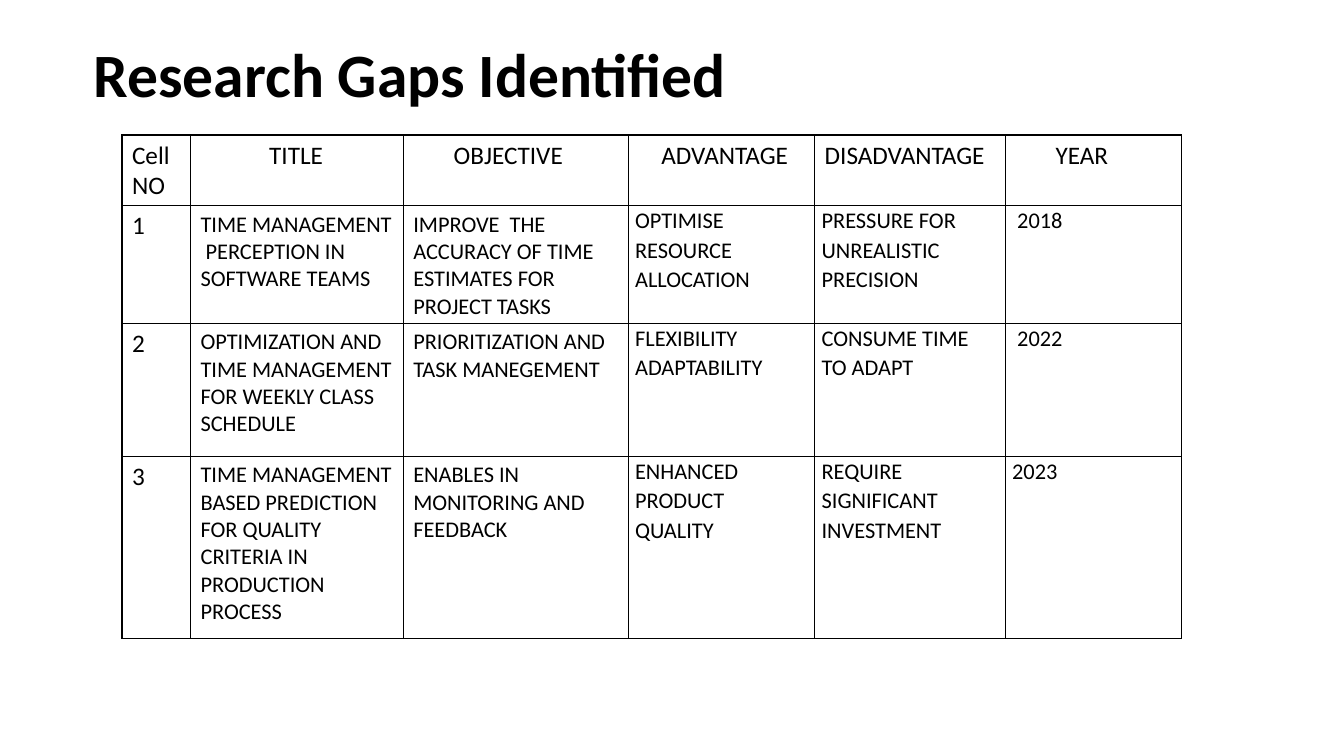
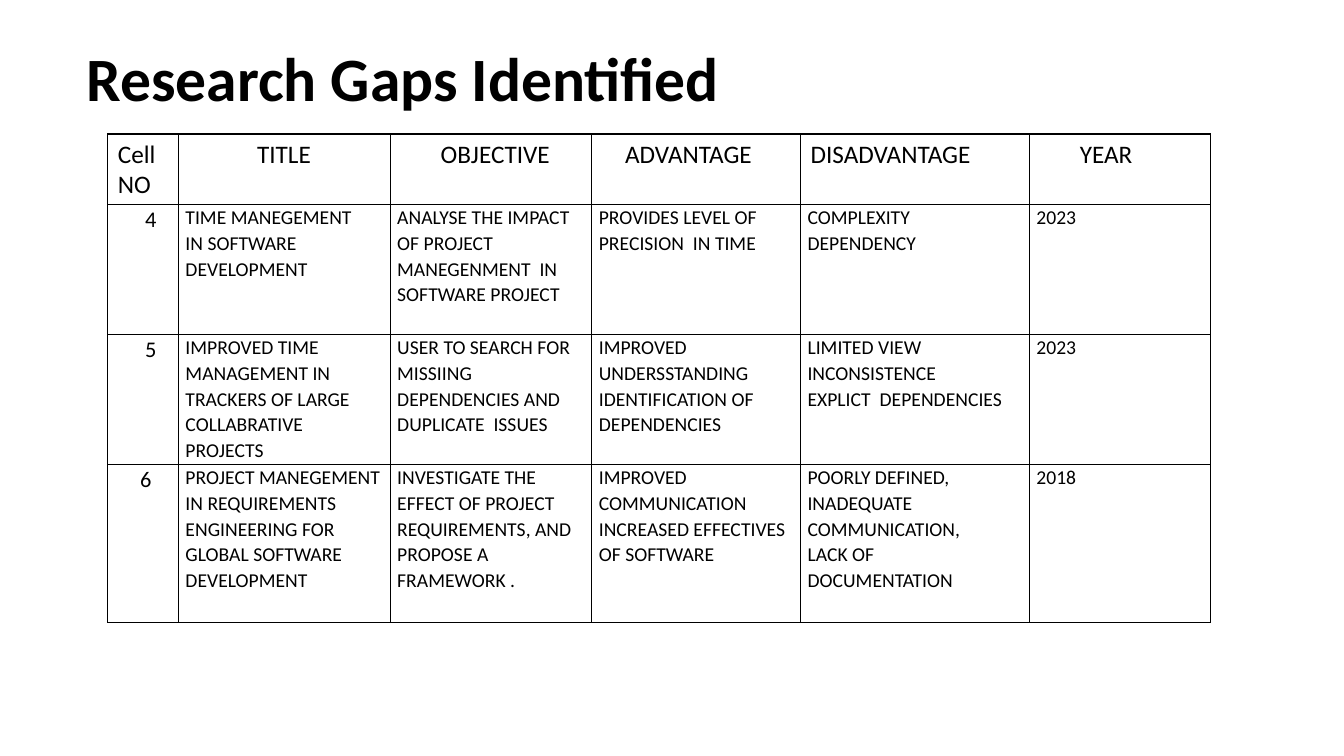
from dataclasses import dataclass, field

from lxml.etree import SubElement
from pptx import Presentation
from pptx.dml.color import RGBColor
from pptx.enum.text import MSO_ANCHOR
from pptx.oxml.ns import qn
from pptx.slide import Slide
from pptx.table import _Cell
from pptx.util import Inches, Pt

BLACK = RGBColor(0x00, 0x00, 0x00)
FONT = "Calibri"
TITLE = "Research Gaps Identified"
HEADINGS = ("TITLE", "OBJECTIVE", "ADVANTAGE", "DISADVANTAGE", "YEAR")
HEADING_INDENTS = (0, 0.68, 0.4, 0.23, 0, 0.4)
HEADING_SIZE = 18
BORDER_WIDTH = Pt(1)


@dataclass(frozen=True)
class CellStyle:
    side: float
    edge: float
    line_spacing: float


ROOMY = CellStyle(0.1, 0.05, 1.0)
COMPACT = CellStyle(0.07, 0, 1.07)


@dataclass(frozen=True)
class GapPage:
    title_box: tuple[float, float, float, float]
    table_corner: tuple[float, float]
    columns: tuple[float, ...]
    rows: tuple[float, ...]
    number_heading: str
    number_size: int
    body_size: int
    first_compact_column: int
    studies: tuple[tuple[str, ...], ...]
    indents: dict[tuple[int, int], float] = field(default_factory=dict)


PAGES = (
    GapPage(
        title_box=(0.83, 0, 11.58, 1.53),
        table_corner=(1.21, 1.34),
        columns=(0.68, 2.11, 2.23, 1.85, 1.89, 1.75),
        rows=(0.68, 1.14, 1.32, 1.81),
        number_heading="Cell NO",
        number_size=18,
        body_size=16,
        first_compact_column=3,
        studies=(
            ("1", "TIME MANAGEMENT  PERCEPTION IN SOFTWARE TEAMS",
             "IMPROVE  THE ACCURACY OF TIME ESTIMATES FOR PROJECT TASKS",
             "OPTIMISE RESOURCE ALLOCATION",
             "PRESSURE FOR UNREALISTIC PRECISION", "2018"),
            ("2", "OPTIMIZATION AND TIME MANAGEMENT FOR WEEKLY CLASS SCHEDULE",
             "PRIORITIZATION AND TASK MANEGEMENT",
             "FLEXIBILITY\nADAPTABILITY", "CONSUME TIME TO ADAPT", "2022"),
            ("3", "TIME MANAGEMENT BASED PREDICTION  FOR QUALITY CRITERIA "
             "IN PRODUCTION PROCESS",
             "ENABLES IN MONITORING AND FEEDBACK",
             "ENHANCED\nPRODUCT QUALITY",
             "REQUIRE\nSIGNIFICANT\nINVESTMENT", "2023"),
        ),
        indents={(1, 5): 0.05, (2, 5): 0.05},
    ),
    GapPage(
        title_box=(0.76, 0.08, 11.5, 1.45),
        table_corner=(1.07, 1.33),
        columns=(0.7, 2.1, 2, 2.07, 2.27, 1.8),
        rows=(0.7, 1.29, 1.29, 1.57),
        number_heading="Cell\nNO",
        number_size=16,
        body_size=14,
        first_compact_column=0,
        studies=(
            ("4", "TIME MANEGEMENT\nIN SOFTWARE DEVELOPMENT",
             "ANALYSE THE IMPACT  OF PROJECT  MANEGENMENT  IN SOFTWARE PROJECT",
             "PROVIDES LEVEL OF PRECISION  IN TIME",
             "COMPLEXITY\nDEPENDENCY", "2023"),
            ("5", "IMPROVED TIME MANAGEMENT IN TRACKERS OF LARGE "
             "COLLABRATIVE PROJECTS",
             "USER TO SEARCH FOR MISSIING DEPENDENCIES AND DUPLICATE  ISSUES",
             "IMPROVED UNDERSSTANDING\nIDENTIFICATION OF DEPENDENCIES",
             "LIMITED VIEW\nINCONSISTENCE\nEXPLICT  DEPENDENCIES", "2023"),
            ("6", "PROJECT MANEGEMENT IN REQUIREMENTS ENGINEERING FOR GLOBAL "
             "SOFTWARE DEVELOPMENT",
             "INVESTIGATE THE EFFECT OF PROJECT REQUIREMENTS, AND PROPOSE "
             "A FRAMEWORK .",
             "IMPROVED COMMUNICATION\nINCREASED EFFECTIVES OF SOFTWARE",
             "POORLY DEFINED,\nINADEQUATE\nCOMMUNICATION,\nLACK OF DOCUMENTATION",
             "2018"),
        ),
        indents={(1, 0): 0.3, (2, 0): 0.3, (3, 0): 0.25},
    ),
)


def format_text(text_frame, size: int, line_spacing: float, bold: bool = False) -> None:
    for para in text_frame.paragraphs:
        para.line_spacing = line_spacing
        for span in para.runs:
            span.font.name = FONT
            span.font.size = Pt(size)
            span.font.bold = bold
            span.font.color.rgb = BLACK


def add_borders(cell: _Cell) -> None:
    properties = cell._tc.get_or_add_tcPr()
    for position, side in enumerate(("a:lnL", "a:lnR", "a:lnT", "a:lnB")):
        line = SubElement(properties, qn(side), w=str(BORDER_WIDTH))
        fill = SubElement(line, qn("a:solidFill"))
        SubElement(fill, qn("a:srgbClr"), val=str(BLACK))
        properties.insert(position, line)


def fill_cell(cell: _Cell, text: str, size: int, style: CellStyle, indent: float) -> None:
    cell.text_frame.text = text
    cell.margin_left = Inches(style.side + indent)
    cell.margin_right = Inches(style.side)
    cell.margin_top = cell.margin_bottom = Inches(style.edge)
    cell.fill.background()
    format_text(cell.text_frame, size, style.line_spacing)
    add_borders(cell)


def add_title(page: Slide, bounds: tuple[float, float, float, float]) -> None:
    box = page.shapes.add_textbox(*map(Inches, bounds))
    frame = box.text_frame
    frame.word_wrap = True
    frame.vertical_anchor = MSO_ANCHOR.MIDDLE
    frame.text = TITLE
    format_text(frame, 44, 0.9, bold=True)


def add_gap_table(page: Slide, content: GapPage) -> None:
    table = page.shapes.add_table(
        len(content.rows), len(content.columns),
        *map(Inches, content.table_corner),
        Inches(sum(content.columns)), Inches(sum(content.rows)),
    ).table
    table.first_row = False
    table.horz_banding = False
    for column, width in zip(table.columns, content.columns):
        column.width = Inches(width)
    for row, height in zip(table.rows, content.rows):
        row.height = Inches(height)

    headings = (content.number_heading, *HEADINGS)
    for column, (heading, indent) in enumerate(zip(headings, HEADING_INDENTS)):
        fill_cell(table.cell(0, column), heading, HEADING_SIZE, ROOMY, indent)
    for row, study in enumerate(content.studies, start=1):
        for column, text in enumerate(study):
            size = content.body_size if column else content.number_size
            style = COMPACT if column >= content.first_compact_column else ROOMY
            indent = content.indents.get((row, column), 0)
            fill_cell(table.cell(row, column), text, size, style, indent)


def main() -> None:
    deck = Presentation()
    deck.slide_width = Inches(13.33)
    deck.slide_height = Inches(7.5)
    for content in PAGES:
        page = deck.slides.add_slide(deck.slide_layouts[6])
        add_title(page, content.title_box)
        add_gap_table(page, content)
    deck.save("out.pptx")


if __name__ == "__main__":
    main()
